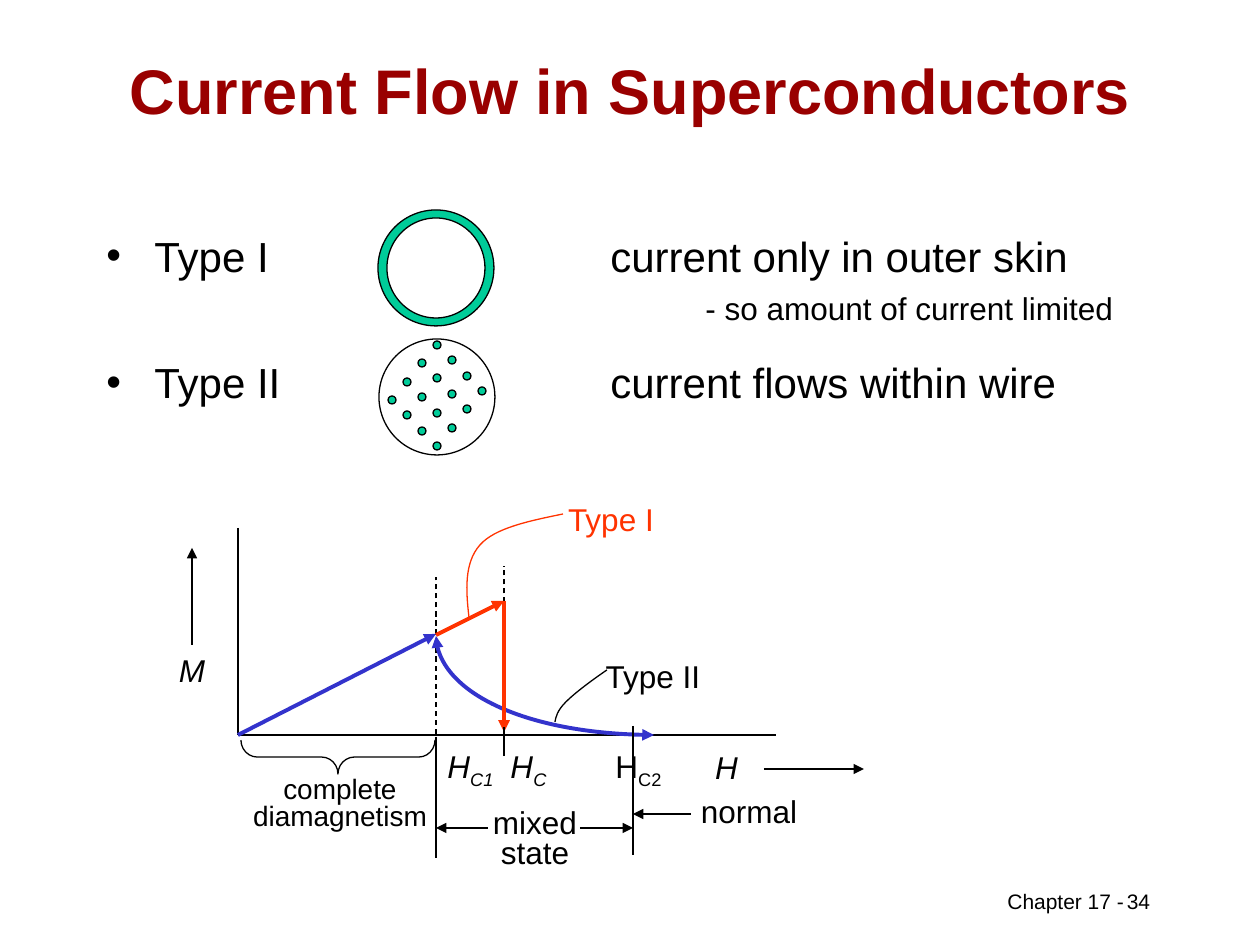
from lxml.etree import SubElement
from pptx import Presentation
from pptx.dml.color import RGBColor
from pptx.enum.dml import MSO_LINE_DASH_STYLE as DASH
from pptx.enum.shapes import MSO_CONNECTOR as CONNECTOR, MSO_SHAPE as SHAPE
from pptx.enum.text import MSO_ANCHOR as ANCHOR, MSO_AUTO_SIZE as AUTO, PP_ALIGN as ALIGN
from pptx.oxml.ns import qn
from pptx.util import Emu, Pt

COLORS = {"black": "000000", "white": "FFFFFF", "title": "990000",
          "green": "00CC99", "blue": "3333CC", "red": "FF3300"}
EMU_PER_PX = 914400 / 126


def px(value):
    return Emu(round(value * EMU_PER_PX))


def color(name):
    return RGBColor.from_string(COLORS[name])


def write(paragraph, text, size=18, ink="black", bold=False, italic=False,
          align=ALIGN.CENTER, spacing=None, before=0, sub=None):
    """Fill a paragraph with text and an optional subscript."""
    paragraph.alignment = align
    paragraph.space_before = Pt(before)
    if spacing:
        paragraph.line_spacing = spacing
    for part in filter(None, (text, sub)):
        run = paragraph.add_run()
        run.text = part
        font = run.font
        font.name, font.size, font.bold, font.italic = "Arial", Pt(size), bold, italic
        font.color.rgb = color(ink)
        if part == sub:
            run._r.get_or_add_rPr().set("baseline", "-25000")


class Canvas:
    """Holds the current slide and draws each kind of element on it."""

    def __init__(self, slide):
        self.slide = slide
        self.shapes = slide.shapes

    def title(self, text, left, top, width, height):
        shape = self.shapes.title
        shape.left, shape.top, shape.width, shape.height = map(px, (left, top, width, height))
        frame = shape.text_frame
        frame.auto_size, frame.vertical_anchor = AUTO.NONE, ANCHOR.MIDDLE
        write(frame.paragraphs[0], text, size=36, ink="title", bold=True)

    def box(self, left, top, width, height):
        shape = self.shapes.add_textbox(*map(px, (left, top, width, height)))
        shape.text_frame.word_wrap = True
        return shape

    def label(self, text, left, top, width, height, **style):
        shape = self.box(left, top, width, height)
        write(shape.text_frame.paragraphs[0], text, **style)
        return shape

    def bullet(self, paragraph, text, tab, indent=48, **style):
        write(paragraph, text, size=24, align=ALIGN.LEFT, **style)
        properties = paragraph._p.get_or_add_pPr()
        properties.set("marL", str(px(indent)))
        properties.set("indent", str(px(-indent)))
        SubElement(properties, qn("a:buFont"), typeface="Arial")
        SubElement(properties, qn("a:buChar"), char="•")
        tabs = SubElement(properties, qn("a:tabLst"))
        SubElement(tabs, qn("a:tab"), pos=str(px(tab)), algn="l")

    def outline(self, shape, ink, weight, head=False, tail=False):
        shape.line.color.rgb = color(ink)
        shape.line.width = Pt(weight)
        line = shape.line._get_or_add_ln()
        for end, wanted in (("a:headEnd", head), ("a:tailEnd", tail)):
            if wanted:
                SubElement(line, qn(end), type="triangle")

    def shape(self, kind, left, top, width, height, fill=None):
        shape = self.shapes.add_shape(kind, *map(px, (left, top, width, height)))
        shape.shadow.inherit = False
        if fill:
            shape.fill.solid()
            shape.fill.fore_color.rgb = color(fill)
        else:
            shape.fill.background()
        self.outline(shape, "black", 0.75)
        return shape

    def line(self, start, end, ink="black", weight=0.75, dashed=False, **arrows):
        connector = self.shapes.add_connector(CONNECTOR.STRAIGHT, *map(px, start + end))
        if dashed:
            connector.line.dash_style = DASH.DASH
        self.outline(connector, ink, weight, **arrows)
        SubElement(connector._element.spPr, qn("a:effectLst"))
        return connector

    def curve(self, start, *points, ink="black", weight=0.75, **arrows):
        """Draw cubic curves; every three points are two handles and an end."""
        builder = self.shapes.build_freeform(*start, scale=EMU_PER_PX)
        builder.add_line_segments(points, close=False)
        shape = builder.convert_to_shape()
        outline = next(shape._element.iter(qn("a:path")))
        segments = outline.findall(qn("a:lnTo"))
        for first in range(0, len(segments), 3):
            cubic = SubElement(outline, qn("a:cubicBezTo"))
            for segment in segments[first:first + 3]:
                cubic.append(segment[0])
                outline.remove(segment)
        shape.shadow.inherit = False
        shape.fill.background()
        self.outline(shape, ink, weight, **arrows)


def main():
    presentation = Presentation()
    presentation.slide_width, presentation.slide_height = px(1260), px(945)
    slide = presentation.slides.add_slide(presentation.slide_layouts[5])
    canvas = Canvas(slide)

    # Title and footer
    canvas.title("Current Flow in Superconductors", 95, 53, 1071, 73)
    canvas.label("Chapter 17 -", 995, 882, 155, 38, size=12, align=ALIGN.LEFT)
    canvas.label("34", 1057, 882, 163, 49, size=12)

    # Bullets
    frame = canvas.box(94, 224, 1071, 210).text_frame
    canvas.bullet(frame.paragraphs[0], "Type I\tcurrent only in outer skin", tab=504)
    remark = frame.add_paragraph()
    write(remark, "- so amount of current limited", align=ALIGN.LEFT, before=4.5)
    remark._p.get_or_add_pPr().set("marL", str(px(599)))
    canvas.bullet(frame.add_paragraph(), "Type II\tcurrent flows within wire", tab=504,
                  spacing=1.4, before=6)

    # Wire cross-sections: skin only, then a slanted grid of filaments
    canvas.shape(SHAPE.OVAL, 378, 210, 116, 116, "green")
    canvas.shape(SHAPE.OVAL, 387, 218, 98, 100, "white")
    canvas.shape(SHAPE.OVAL, 379, 339, 116, 116, "white")
    for rank in range(4):
        for step in range(4):
            canvas.shape(SHAPE.OVAL, 388 + 15 * (rank + step),
                         396 + 31 * step // 2 - 37 * rank // 2, 8, 8, "green")

    # Axes
    origin, hc1, hc, hc2, base = 238, 436, 504, 633, 735
    canvas.line((origin, 528), (origin, base))
    canvas.line((origin, base), (776, base))
    m_label = canvas.label("M", 165, 645, 54, 50, italic=True)
    m_arrow = canvas.line((192, 645), (192, 548), tail=True)
    m_arrow.begin_connect(m_label, 0)
    canvas.label("H", 700, 742, 53, 50, italic=True)
    canvas.line((764, 769), (864, 769), tail=True)

    # Magnetization curves
    canvas.line((hc, 756), (hc, 566), dashed=True)
    canvas.line((hc1, 761), (hc1, 577), dashed=True)
    canvas.line((origin, base), (hc1, 634), ink="blue", weight=2.25, tail=True)
    canvas.curve((654, base), (534, base), (hc1, 690), (hc1, 636),
                 ink="blue", weight=2.25, head=True, tail=True)
    canvas.line((hc1, 635), (hc, 601), ink="red", weight=2.25, tail=True)
    canvas.line((hc, 601), (hc, 732), ink="red", weight=2.25, tail=True)

    # Curve names with leaders
    canvas.label("Type I", 553, 494, 116, 50, ink="red")
    canvas.curve((469, 617), (466, 591), (464, 563), (480, 545),
                 (495, 528), (529, 521), (563, 514), ink="red")
    canvas.label("Type II", 585, 651, 136, 50)
    canvas.curve((555, 722), (556, 717), (557, 711), (566, 702),
                 (575, 693), (591, 681), (607, 670))

    # Regions along the field axis
    brace = canvas.shape(SHAPE.LEFT_BRACE, 321, 660, 34, 194)
    brace.rotation = 270
    brace.adjustments[0] = 0.48
    canvas.label("complete diamagnetism", 226, 772, 228, 67, size=16, spacing=0.8)
    canvas.label("mixed state", 456, 804, 158, 73, spacing=0.8)
    canvas.label("normal", 670, 793, 158, 43, spacing=0.8)
    canvas.line((hc1, 737), (hc1, 858))
    canvas.line((hc2, 726), (hc2, 855))
    canvas.line((580, 828), (hc2, 828), tail=True)
    canvas.line((hc1, 828), (488, 828), head=True)
    canvas.line((691, 814), (hc2, 814), tail=True)
    canvas.line((hc, 752), (hc, 727))

    # Critical fields
    for sub, left, italic in (("C1", 429, True), ("C2", 597, False), ("C", 487, True)):
        canvas.label("H", left, 741, 83, 55, italic=italic, sub=sub)

    presentation.save("out.pptx")


if __name__ == "__main__":
    main()
